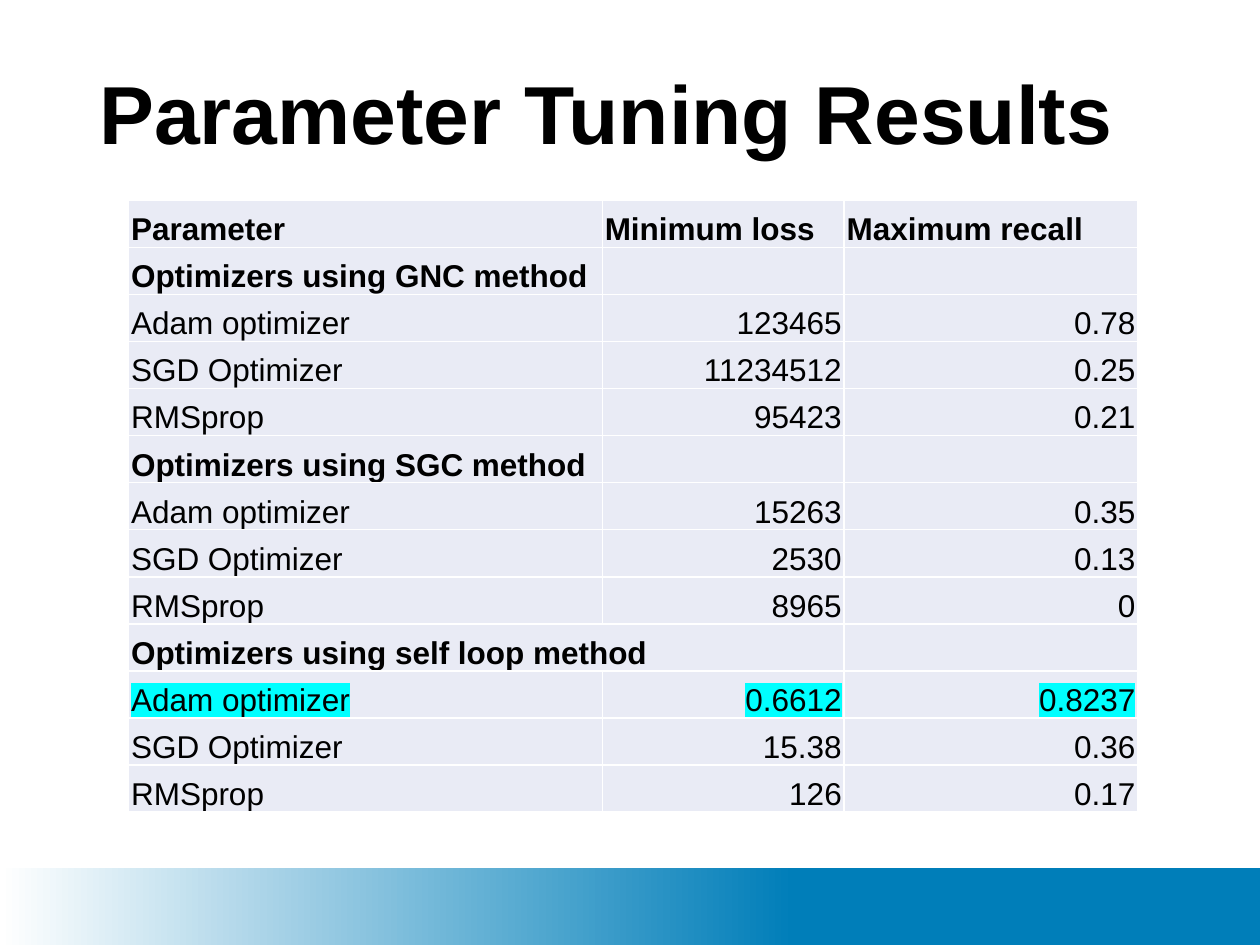
from lxml.etree import SubElement
from pptx import Presentation
from pptx.dml.color import RGBColor as RGB
from pptx.enum.shapes import MSO_SHAPE as SHAPE
from pptx.enum.text import MSO_ANCHOR as ANCHOR, PP_ALIGN as ALIGN
from pptx.oxml import parse_xml
from pptx.oxml.ns import nsdecls, qn
from pptx.util import Pt

BLACK = RGB(0x00, 0x00, 0x00)
WHITE = RGB(0xFF, 0xFF, 0xFF)
BLUE = RGB(0x00, 0x7E, 0xB9)
PALE = RGB(0xE9, 0xEB, 0xF5)
CYAN = RGB(0x00, 0xFF, 0xFF)

COL_WIDTHS = [270.7, 138.2, 167.8]
ROW_HEIGHT = 26.9
HEADER = ("Parameter", "Minimum loss", "Maximum recall")
OPTIMIZERS = ("Adam optimizer", "SGD Optimizer", "RMSprop")
METHODS = {
    "GNC": [("123465", "0.78"), ("11234512", "0.25"), ("95423", "0.21")],
    "SGC": [("15263", "0.35"), ("2530", "0.13"), ("8965", "0")],
    "self loop": [("0.6612", "0.8237"), ("15.38", "0.36"), ("126", "0.17")],
}
BEST = ("self loop", "Adam optimizer")


def set_all(obj, values):
    for name, value in values.items():
        setattr(obj, name, value)


class Deck:
    font = {"name": "Arial", "size": Pt(18), "bold": False}
    cell = {"margin_left": Pt(1.4), "margin_right": Pt(1.4), "margin_top": Pt(1.4),
            "margin_bottom": 0, "vertical_anchor": ANCHOR.BOTTOM}

    def __init__(self, prs):
        self.s = prs.slides.add_slide(prs.slide_layouts[6])

    def add_text(self, p, text, highlight=None, **font):
        r = p.add_run()
        r.text = text
        set_all(r.font, {**self.font, **font})
        r.font.color.rgb = BLACK
        if highlight:
            mark = parse_xml(f'<a:highlight {nsdecls("a")}><a:srgbClr val="{highlight}"/></a:highlight>')
            r.font._element.find(qn("a:latin")).addprevious(mark)

    def band(self, x, y, w, h, stops):
        sp = self.s.shapes.add_shape(SHAPE.RECTANGLE, Pt(x), Pt(y), Pt(w), Pt(h))
        sp.shadow.inherit = False
        sp.line.fill.background()
        sp.fill.gradient()
        sp.fill.gradient_angle = 0
        for stop, (position, color) in zip(sp.fill.gradient_stops, stops):
            stop.position = position
            stop.color.rgb = color

    def title(self, x, y, w, h, text):
        tf = self.s.shapes.add_textbox(Pt(x), Pt(y), Pt(w), Pt(h)).text_frame
        set_all(tf, {"word_wrap": True, "vertical_anchor": ANCHOR.BOTTOM})
        p = tf.paragraphs[0]
        p.line_spacing = 0.9
        self.add_text(p, text, size=Pt(47), bold=True)

    def table(self, x, y, widths, row_height, rows):
        """Each row is (texts, bold, highlight)."""
        tbl = self.s.shapes.add_table(len(rows), len(widths), Pt(x), Pt(y), Pt(sum(widths)),
                                      Pt(row_height * len(rows))).table
        for col, width in zip(tbl.columns, widths):
            col.width = Pt(width)
        for i, (texts, bold, highlight) in enumerate(rows):
            tbl.rows[i].height = Pt(row_height)
            for j, text in enumerate(texts):
                cell = tbl.cell(i, j)
                self.style_cell(cell)
                if text:
                    p = cell.text_frame.paragraphs[0]
                    p.alignment = ALIGN.RIGHT if j and not bold else ALIGN.LEFT
                    self.add_text(p, text, highlight, bold=bold)
        return tbl

    def style_cell(self, cell):
        set_all(cell, self.cell)
        cell.fill.solid()
        cell.fill.fore_color.rgb = PALE
        tc_pr = cell._tc.get_or_add_tcPr()
        for i, side in enumerate("LRTB"):
            ln = parse_xml(f'<a:ln{side} {nsdecls("a")} w="{Pt(1)}"/>')
            fill = SubElement(ln, qn("a:solidFill"))
            SubElement(fill, qn("a:srgbClr"), val=str(WHITE))
            tc_pr.insert(i, ln)


def result_rows():
    rows = [(HEADER, True, None)]
    for method, results in METHODS.items():
        rows.append(((f"Optimizers using {method} method", "", ""), True, None))
        for name, values in zip(OPTIMIZERS, results):
            rows.append(((name, *values), False, CYAN if (method, name) == BEST else None))
    return rows


def main():
    prs = Presentation()
    set_all(prs, {"slide_width": Pt(720), "slide_height": Pt(540)})
    deck = Deck(prs)

    # Footer band and title
    deck.band(0, 496, 720, 44, [(0, WHITE), (0.63, BLUE)])
    deck.title(49.7, 23, 620.6, 73.4, "Parameter Tuning Results")

    # Results table; the last method heading spans two columns
    tbl = deck.table(73.5, 114.6, COL_WIDTHS, ROW_HEIGHT, result_rows())
    tbl.cell(9, 0).merge(tbl.cell(9, 1))

    prs.save("out.pptx")


if __name__ == "__main__":
    main()
